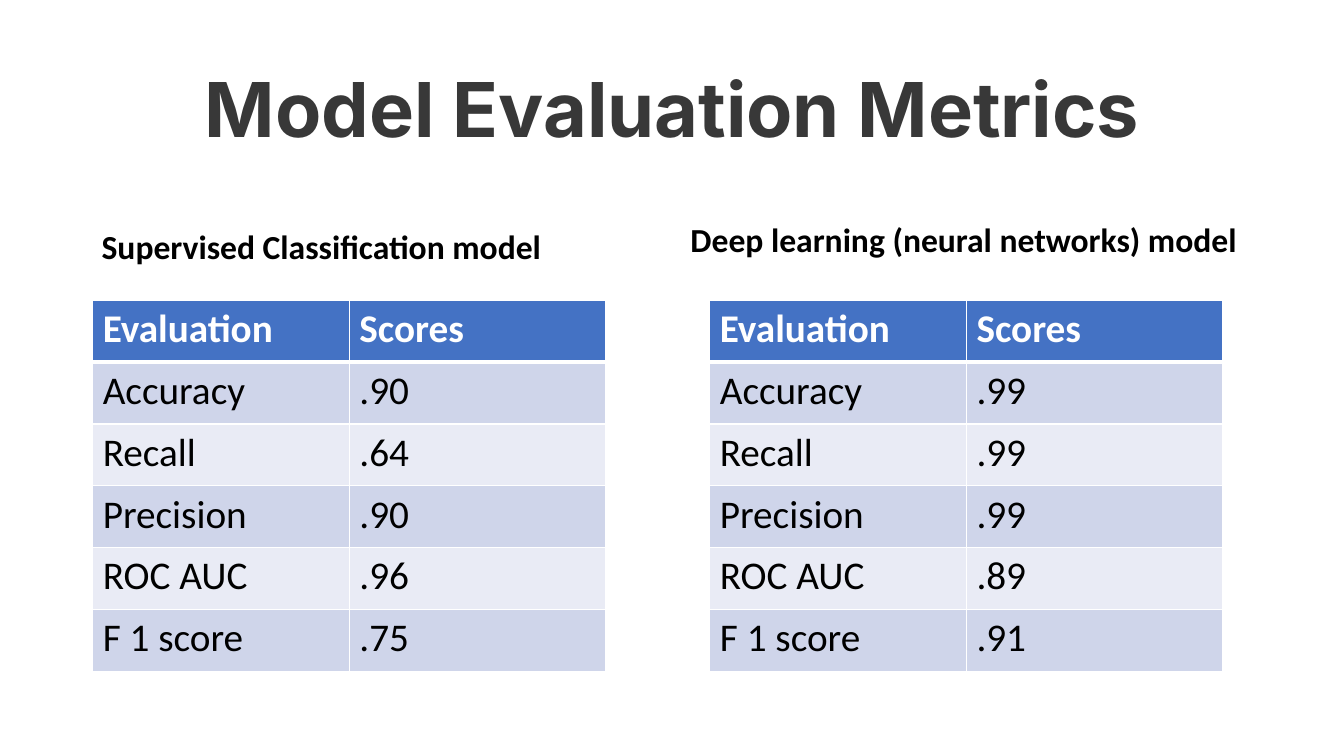
from lxml import etree
from pptx import Presentation
from pptx.dml.color import RGBColor as Rgb
from pptx.enum.text import MSO_ANCHOR as Anchor, MSO_AUTO_SIZE as Fit, PP_ALIGN as Align
from pptx.oxml.ns import qn
from pptx.util import Inches, Pt

WIDE, HIGH = 13.33, 7.5
HUES = {"title": "383838", "ink": "000000", "white": "FFFFFF",
        "head": "4472C4", "odd": "CFD5EA", "even": "E9EBF5"}
NAMES = ["Accuracy", "Recall", "Precision", "ROC AUC", "F 1 score"]
# Heading, its box, scores, table box
MODELS = [
    ("Supervised Classification model", (0.91, 2.08, 5.64, 0.9),
     [".90", ".64", ".90", ".96", ".75"], (0.92, 2.98, 5.09, 3.68)),
    ("Deep learning (neural networks) model", (6.75, 2.01, 5.67, 0.9),
     [".99", ".99", ".99", ".89", ".91"], (7.04, 2.98, 5.09, 3.68)),
]


def add_run(para, text, size, hue, bold=False, face="Calibri"):
    run = para.add_run()
    run.text = text
    font = run.font
    font.name, font.size, font.bold = face, Pt(size), bold
    font.color.rgb = Rgb.from_string(HUES[hue])


def add_title(slide, box):
    title = slide.shapes.title
    title.left, title.top, title.width, title.height = map(Inches, box)
    frame = title.text_frame
    frame.auto_size, frame.word_wrap = Fit.NONE, True
    frame.vertical_anchor = Anchor.MIDDLE
    para = frame.paragraphs[0]
    para.alignment, para.line_spacing = Align.CENTER, 0.9
    add_run(para, "Model Evaluation Metrics", 54, "title", True, "Inter")


def add_heading(slide, box, text):
    frame = slide.shapes.add_textbox(*map(Inches, box)).text_frame
    frame.word_wrap = True
    frame.vertical_anchor = Anchor.BOTTOM
    frame.margin_bottom = Inches(0.34)
    add_run(frame.paragraphs[0], text, 24, "ink", True)


def add_borders(cell, top, bottom):
    props = cell._tc.get_or_add_tcPr()
    sides = [("lnL", 1), ("lnR", 1), ("lnT", top), ("lnB", bottom)]
    # Borders come before the fill
    for spot, (side, width) in enumerate(sides):
        line = etree.Element(qn(f"a:{side}"), w=str(Pt(width)))
        fill = etree.SubElement(line, qn("a:solidFill"))
        etree.SubElement(fill, qn("a:srgbClr"), val=HUES["white"])
        props.insert(spot, line)


def add_scores(slide, box, scores):
    rows = [("Evaluation", "Scores"), *zip(NAMES, scores)]
    table = slide.shapes.add_table(len(rows), 2, *map(Inches, box)).table
    for col in table.columns:
        col.width = Inches(box[2] / 2)
    for r, texts in enumerate(rows):
        table.rows[r].height = Inches(box[3] / len(rows))
        head = r == 0
        back = "head" if head else "odd" if r % 2 else "even"
        for c, text in enumerate(texts):
            cell = table.cell(r, c)
            cell.fill.solid()
            cell.fill.fore_color.rgb = Rgb.from_string(HUES[back])
            add_borders(cell, 3 if r == 1 else 1, 3 if head else 1)
            add_run(cell.text_frame.paragraphs[0], text, 28,
                    "white" if head else "ink", head)


def main():
    deck = Presentation()
    deck.slide_width, deck.slide_height = Inches(WIDE), Inches(HIGH)
    slide = deck.slides.add_slide(deck.slide_layouts[5])
    add_title(slide, (0.92, 0.4, 11.5, 1.45))
    # One heading and table for each model
    for text, spot, scores, box in MODELS:
        add_heading(slide, spot, text)
        add_scores(slide, box, scores)
    deck.save("out.pptx")


if __name__ == "__main__":
    main()
